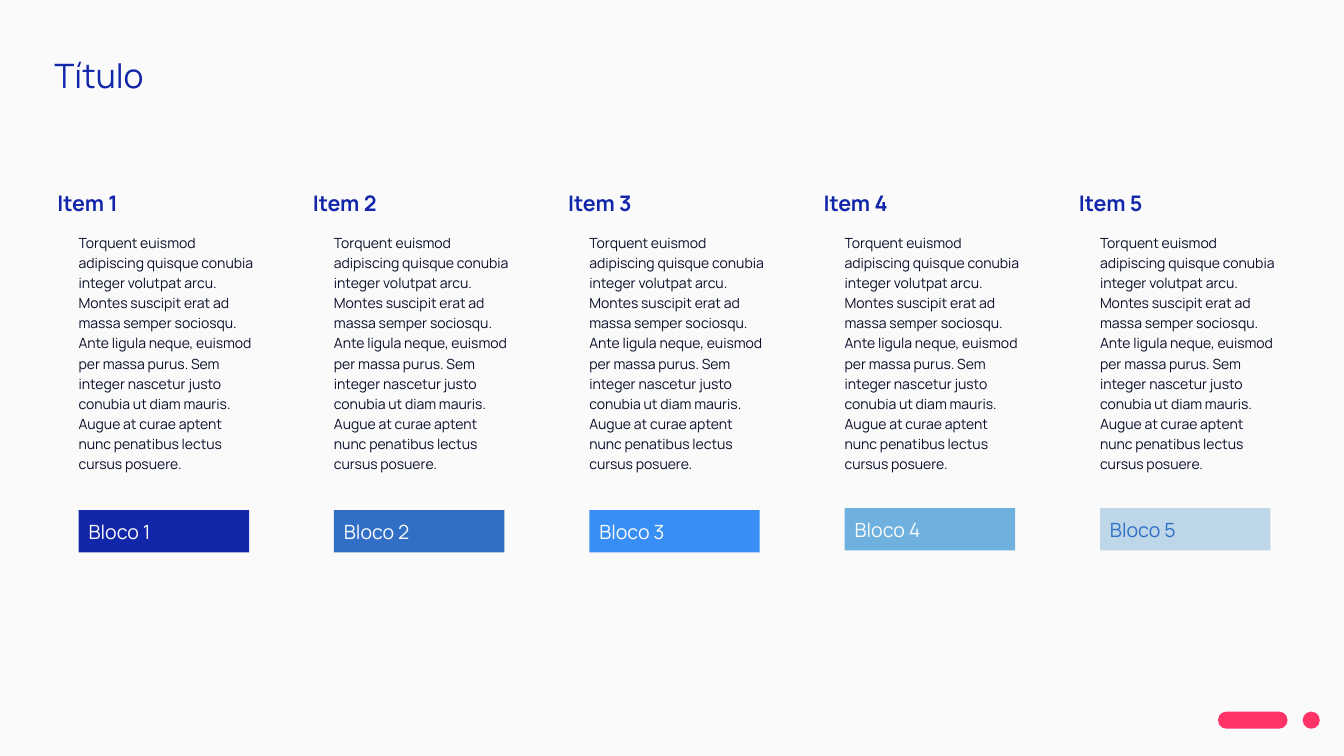
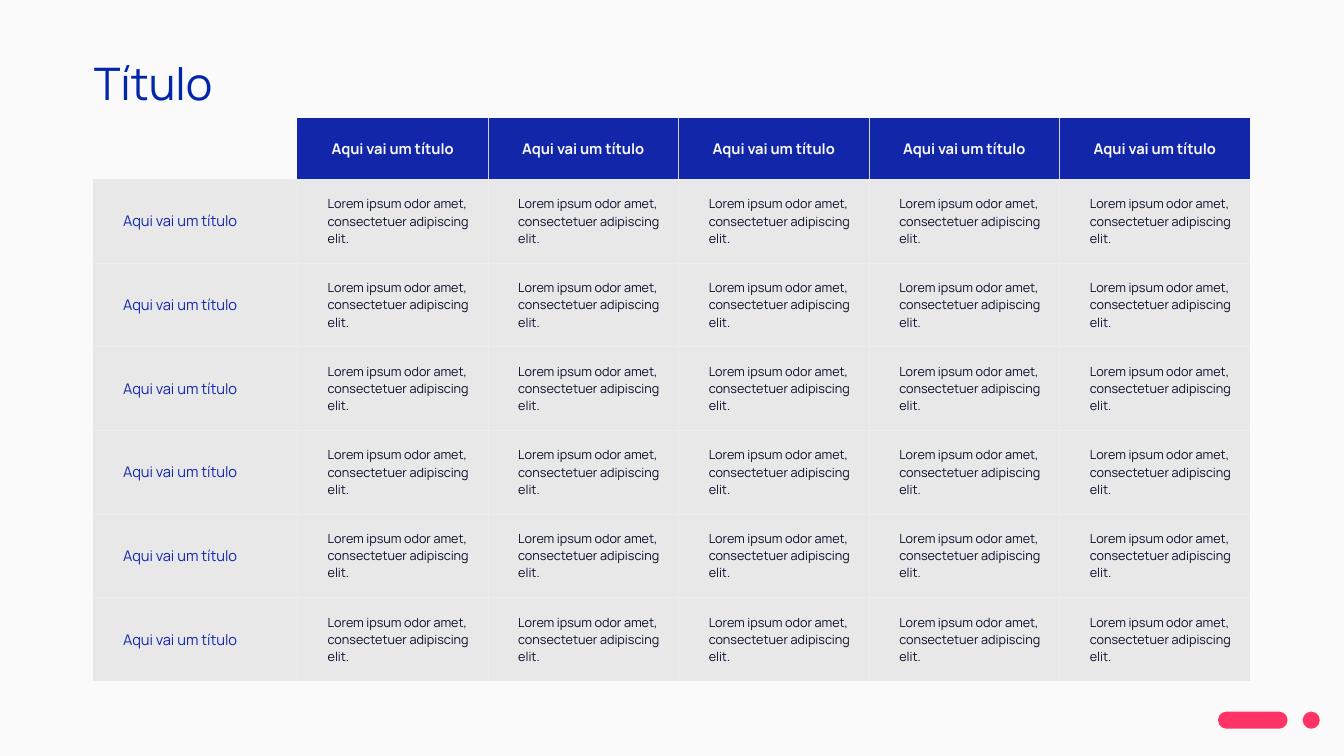
from dataclasses import dataclass

from lxml import etree
from pptx import Presentation
from pptx.dml.color import RGBColor
from pptx.enum.shapes import MSO_SHAPE
from pptx.enum.text import MSO_ANCHOR, MSO_AUTO_SIZE, PP_ALIGN
from pptx.oxml.ns import qn
from pptx.util import Inches, Pt

RECTANGLE, ROUNDED = MSO_SHAPE.RECTANGLE, MSO_SHAPE.ROUNDED_RECTANGLE
TOP, MIDDLE, BOTTOM = MSO_ANCHOR.TOP, MSO_ANCHOR.MIDDLE, MSO_ANCHOR.BOTTOM
LEFT, CENTER = PP_ALIGN.LEFT, PP_ALIGN.CENTER
NO_AUTOFIT = MSO_AUTO_SIZE.NONE

FONT = "Manrope"
SLIDE_WIDTH, SLIDE_HEIGHT = 13.33, 7.5
TITLE_ONLY = 5
COLORS = {
    "paper": "FAFAFA",
    "navy": "1226AA",
    "table title": "0126AA",
    "ink": "090E29",
    "accent": "FF3366",
    "blue": "316FC6",
    "bright": "378EF5",
    "sky": "6EB1DE",
    "pale": "BDD7E8",
    "cell": "E8E8E8",
    "cell line": "EDEDED",
    "header line": "D4D4D4",
}

TITLE = "Título"
ITEM_TEXT = (
    "Torquent euismod adipiscing quisque conubia integer volutpat arcu. "
    "Montes suscipit erat ad massa semper sociosqu. Ante ligula neque, euismod "
    "per massa purus. Sem integer nascetur justo conubia ut diam mauris. "
    "Augue at curae aptent nunc penatibus lectus cursus posuere."
)
TABLE_HEADING = "Aqui vai um título"
TABLE_TEXT = "Lorem ipsum odor amet, consectetuer adipiscing elit."

ITEM_LEFT = 0.57
ITEM_STEP = SLIDE_WIDTH * 0.19
ITEM_INDENT = 0.21

BODY_ROWS, BODY_COLUMNS = 6, 5
HEADER_HEIGHT, ROW_HEIGHT = 0.61, 0.83
LABEL_WIDTH, COLUMN_WIDTH = 2.03, 1.89
BORDER_WIDTH = Pt(0.75)


@dataclass(frozen=True)
class Box:
    left: float
    top: float
    width: float
    height: float

    def lengths(self) -> list:
        return [Inches(v) for v in (self.left, self.top, self.width, self.height)]


@dataclass(frozen=True)
class Block:
    fill: str
    top: float = 5.06
    text_color: str = "paper"


@dataclass(frozen=True)
class CellStyle:
    size: float
    color: str
    fill: str
    line: str
    bold: bool = False
    align: PP_ALIGN = LEFT
    indent: float = 0.2


BLOCKS = [
    Block("navy"),
    Block("blue"),
    Block("bright"),
    Block("sky", top=5.04),
    Block("pale", top=5.04, text_color="blue"),
]
FOOTER_MARKS = [Box(12.08, 7.06, 0.69, 0.17), Box(12.92, 7.06, 0.17, 0.17)]
HEADER_STYLE = CellStyle(10.5, "paper", "navy", "header line", bold=True, align=CENTER, indent=0)
LABEL_STYLE = CellStyle(10.5, "navy", "cell", "cell line")
TEXT_STYLE = CellStyle(9, "ink", "cell", "cell line")


def rgb(name: str) -> RGBColor:
    return RGBColor.from_string(COLORS[name])


def write(frame, text: str, *, size: float, color: str, bold: bool = False,
          align: PP_ALIGN = LEFT, anchor: MSO_ANCHOR = TOP, spacing: float = 1.0,
          insets: tuple = (0.1, 0.05, 0.1, 0.05)) -> None:
    """Fill a text frame; insets run left, top, right, bottom."""
    frame.word_wrap = True
    frame.auto_size = NO_AUTOFIT
    frame.vertical_anchor = anchor
    (frame.margin_left, frame.margin_top,
     frame.margin_right, frame.margin_bottom) = map(Inches, insets)
    write_paragraph(frame, text, size, color, bold, align, spacing)


def write_paragraph(frame, text: str, size: float, color: str, bold: bool,
                    align: PP_ALIGN, spacing: float = 1.0) -> None:
    paragraph = frame.paragraphs[0]
    paragraph.alignment = align
    paragraph.line_spacing = spacing
    run = paragraph.add_run()
    run.text = text
    run.font.name = FONT
    run.font.size = Pt(size)
    run.font.bold = bold
    run.font.color.rgb = rgb(color)


def add_text(slide, box: Box, text: str, **text_format) -> None:
    write(slide.shapes.add_textbox(*box.lengths()).text_frame, text, **text_format)


def add_filled(slide, kind: MSO_SHAPE, box: Box, fill: str):
    shape = slide.shapes.add_shape(kind, *box.lengths())
    shape.shadow.inherit = False
    shape.fill.solid()
    shape.fill.fore_color.rgb = rgb(fill)
    shape.line.fill.background()
    return shape


def add_slide(presentation, title_box: Box, title_size: float, title_color: str):
    """Add a slide with its title and the footer marks."""
    slide = presentation.slides.add_slide(presentation.slide_layouts[TITLE_ONLY])
    title = slide.shapes.title
    title.left, title.top, title.width, title.height = title_box.lengths()
    write(title.text_frame, TITLE, size=title_size, color=title_color,
          insets=(0.1, 0.1, 0.1, 0.1))
    for box in FOOTER_MARKS:
        add_filled(slide, ROUNDED, box, "accent").adjustments[0] = 0.5
    return slide


def add_item(slide, index: int, block: Block) -> None:
    left = ITEM_LEFT + index * ITEM_STEP
    inner_left = left + ITEM_INDENT
    add_text(slide, Box(left, 1.87, 2.05, 0.32), f"Item {index + 1}", size=15.3,
             color="navy", bold=True, anchor=BOTTOM, spacing=0.8,
             insets=(0, 0.05, 0.1, 0.05))
    add_text(slide, Box(inner_left, 2.29, 1.84, 2.61), ITEM_TEXT, size=10,
             color="ink", spacing=1.2, insets=(0, 0, 0.1, 0))
    shape = add_filled(slide, RECTANGLE, Box(inner_left, block.top, 1.69, 0.42), block.fill)
    write(shape.text_frame, f"Bloco {index + 1}", size=14, color=block.text_color,
          anchor=MIDDLE)


def set_borders(cell, sides: str, color: str) -> None:
    """Draw the named sides (letters of LRTB) and clear the others."""
    properties = cell._tc.get_or_add_tcPr()
    for side in "LRTB":
        line = etree.SubElement(properties, qn(f"a:ln{side}"), w=str(BORDER_WIDTH))
        if side in sides:
            fill = etree.SubElement(line, qn("a:solidFill"))
            etree.SubElement(fill, qn("a:srgbClr"), val=COLORS[color])
        else:
            etree.SubElement(line, qn("a:noFill"))


def inner_sides(row: int, column: int) -> str:
    """Name the sides of a cell that lie between two cells of the same kind."""
    sides = ""
    if column > (1 if row == 0 else 0):
        sides += "L"
    if column < BODY_COLUMNS:
        sides += "R"
    if row > 1:
        sides += "T"
    if 0 < row < BODY_ROWS:
        sides += "B"
    return sides


def format_cell(cell, text: str, style: CellStyle, sides: str) -> None:
    set_borders(cell, sides, style.line)
    cell.fill.solid()
    cell.fill.fore_color.rgb = rgb(style.fill)
    cell.vertical_anchor = MIDDLE
    write_paragraph(cell.text_frame, text, style.size, style.color, style.bold, style.align)
    if style.indent:
        properties = cell.text_frame.paragraphs[0]._p.get_or_add_pPr()
        properties.set("marL", str(Inches(style.indent)))
        properties.set("indent", "0")


def add_comparison_table(slide) -> None:
    box = Box(0.92, 1.17, LABEL_WIDTH + BODY_COLUMNS * COLUMN_WIDTH,
              HEADER_HEIGHT + BODY_ROWS * ROW_HEIGHT)
    table = slide.shapes.add_table(BODY_ROWS + 1, BODY_COLUMNS + 1, *box.lengths()).table
    table.first_row = table.horz_banding = False
    for index, column in enumerate(table.columns):
        column.width = Inches(COLUMN_WIDTH if index else LABEL_WIDTH)
    for index, row in enumerate(table.rows):
        row.height = Inches(ROW_HEIGHT if index else HEADER_HEIGHT)
        for position, cell in enumerate(row.cells):
            if index == 0 and position == 0:
                set_borders(cell, "", "cell line")
                cell.fill.solid()
                cell.fill.fore_color.rgb = rgb("paper")
                continue
            if index == 0:
                text, style = TABLE_HEADING, HEADER_STYLE
            elif position == 0:
                text, style = TABLE_HEADING, LABEL_STYLE
            else:
                text, style = TABLE_TEXT, TEXT_STYLE
            format_cell(cell, text, style, inner_sides(index, position))


def main() -> None:
    presentation = Presentation()
    presentation.slide_width = Inches(SLIDE_WIDTH)
    presentation.slide_height = Inches(SLIDE_HEIGHT)
    background = presentation.slide_master.background.fill
    background.solid()
    background.fore_color.rgb = rgb("paper")

    items_slide = add_slide(presentation, Box(0.44, 0.44, 7.09, 0.61), 24, "navy")
    for index, block in enumerate(BLOCKS):
        add_item(items_slide, index, block)

    table_slide = add_slide(presentation, Box(0.83, 0.45, 5.29, 0.74), 32, "table title")
    add_comparison_table(table_slide)

    presentation.save("out.pptx")


if __name__ == "__main__":
    main()
